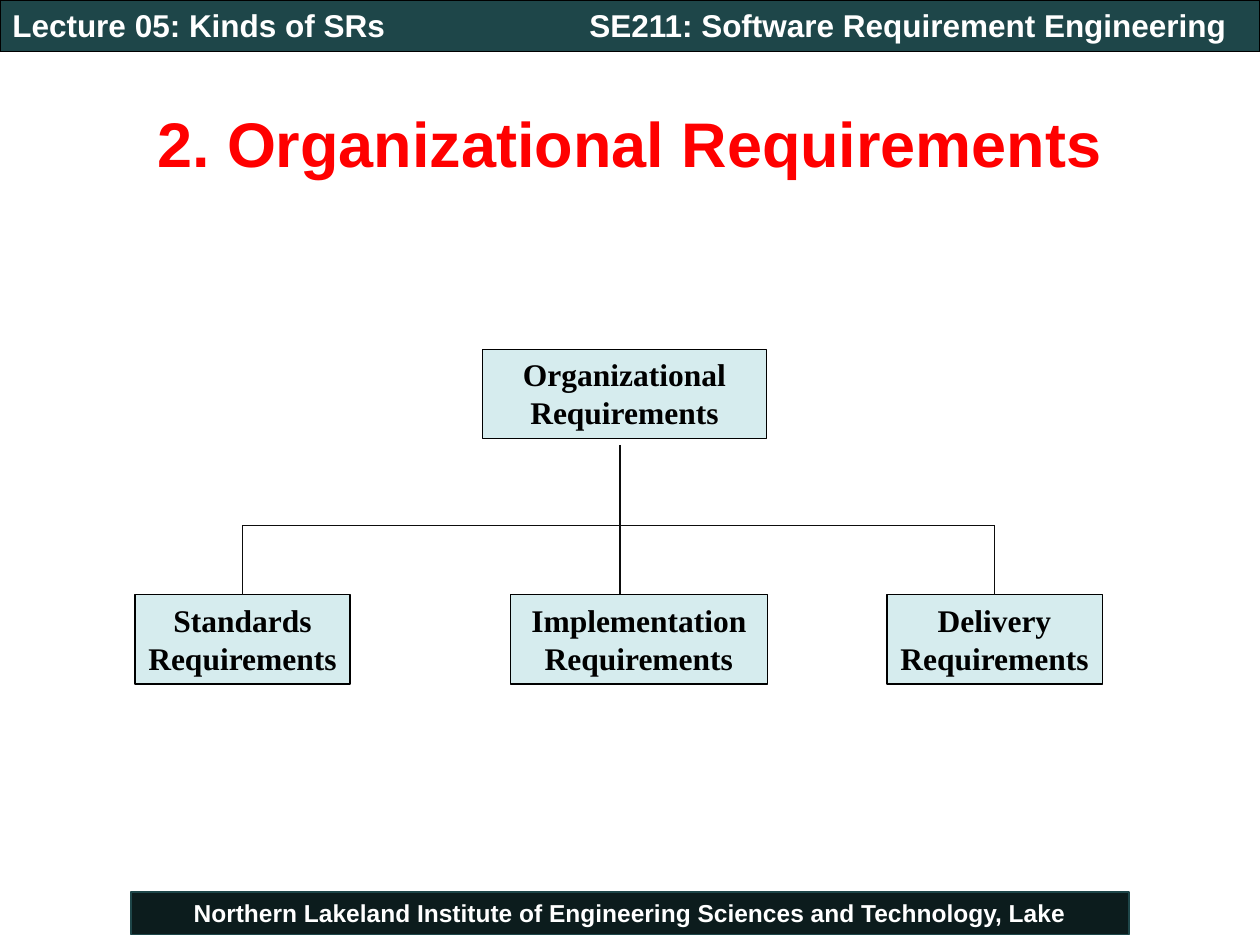
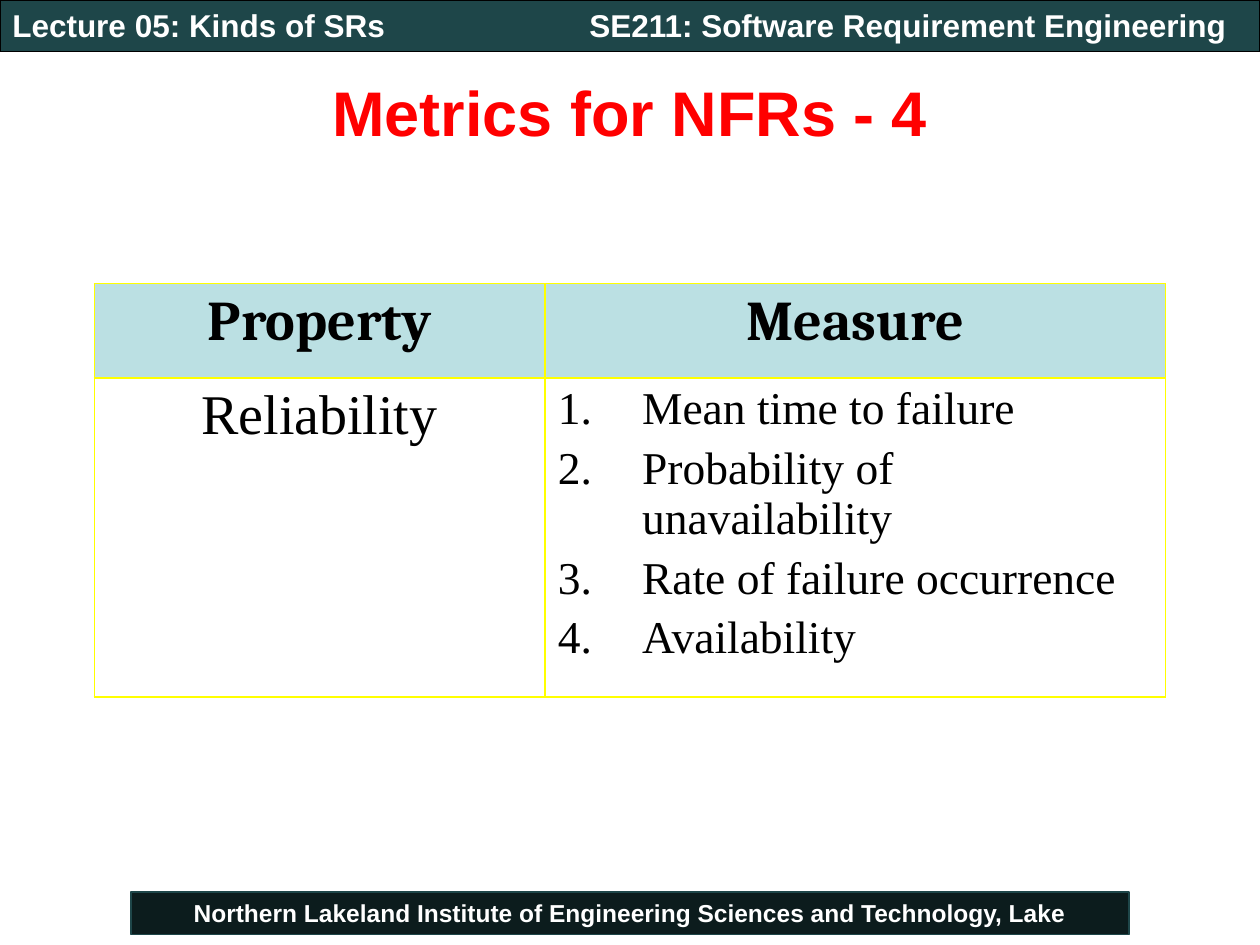
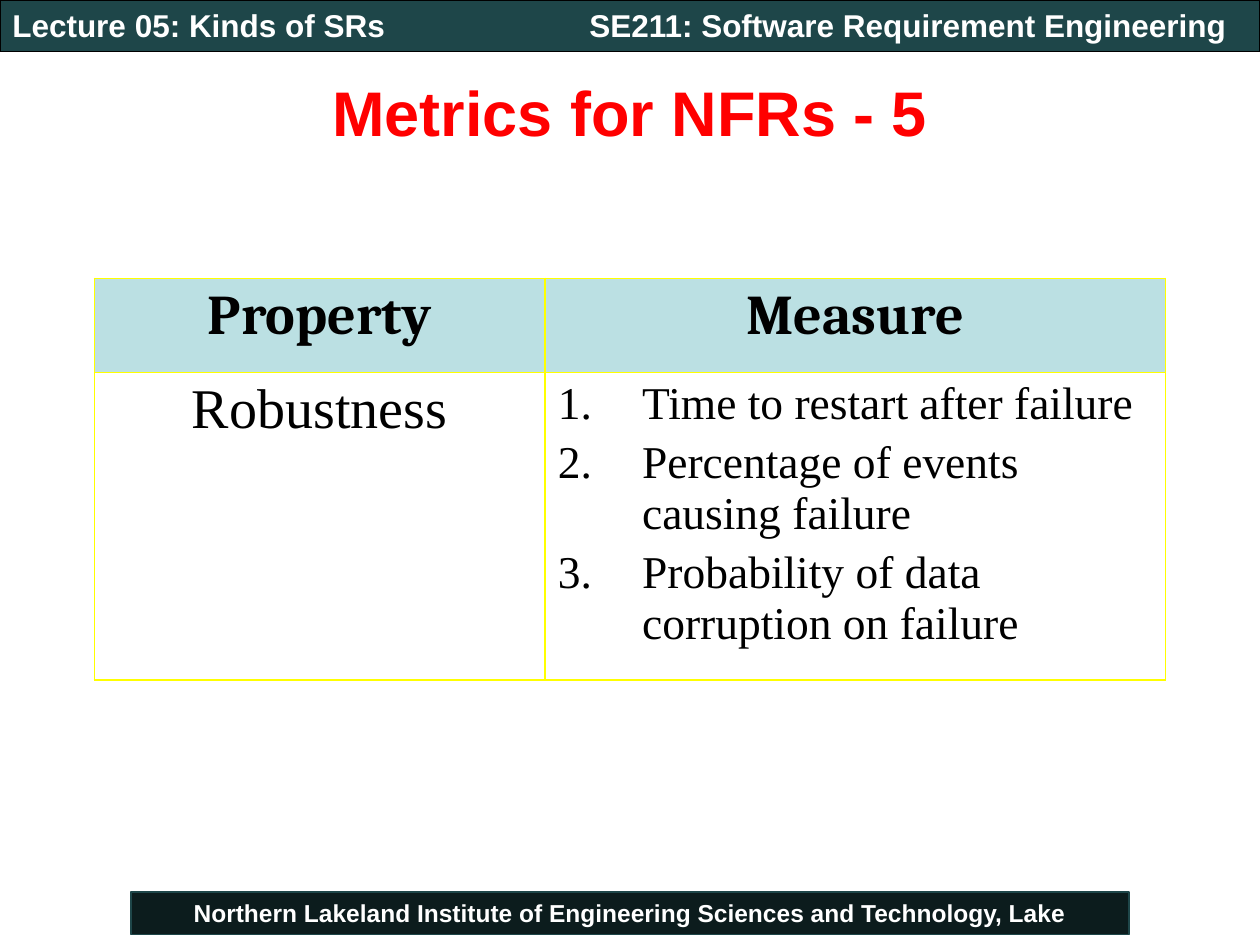
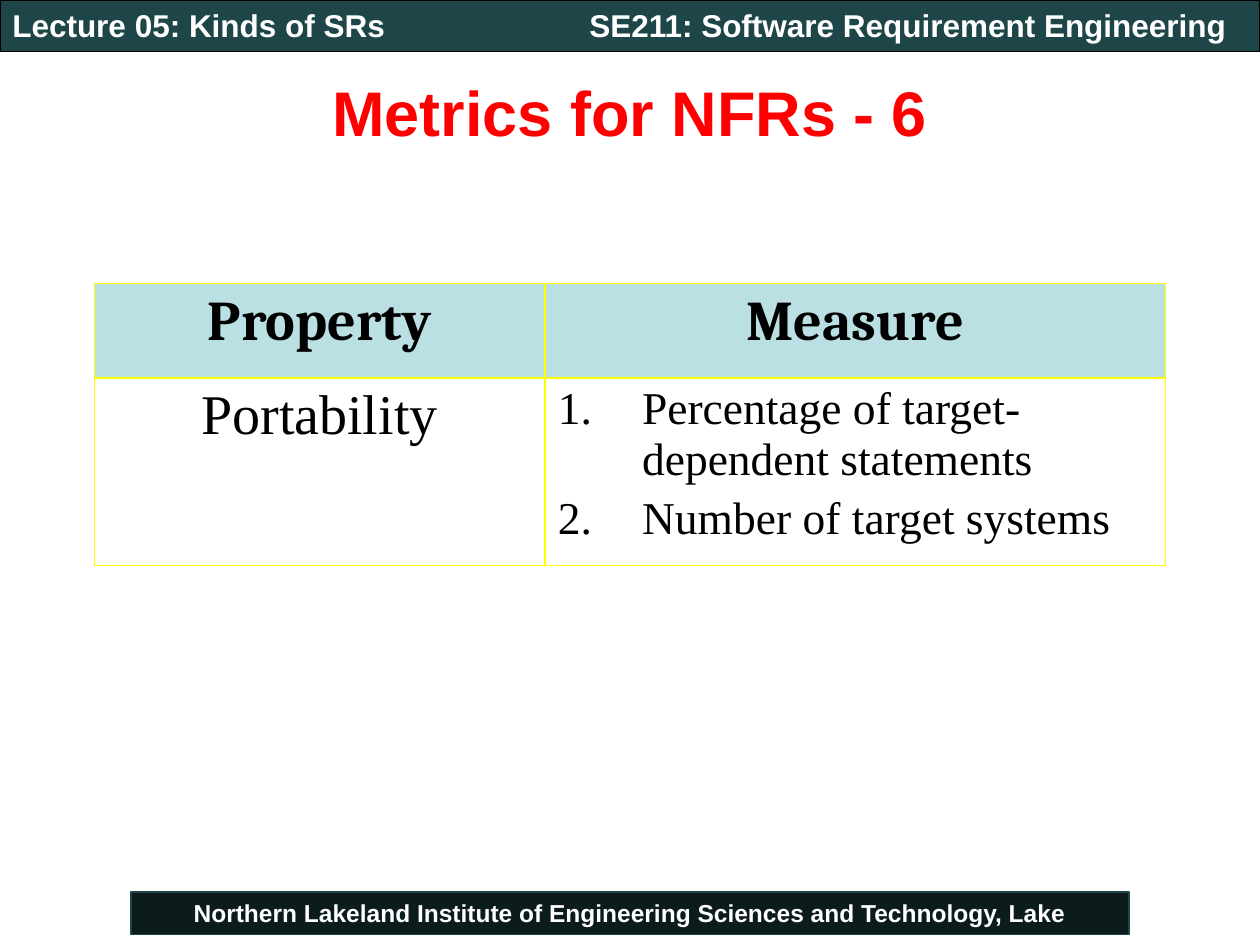
from lxml.etree import SubElement
from pptx import Presentation
from pptx.dml.color import RGBColor
from pptx.enum.shapes import MSO_CONNECTOR as Connector, MSO_SHAPE as Shape
from pptx.enum.text import MSO_ANCHOR as Anchor, PP_ALIGN as Align
from pptx.oxml.ns import qn
from pptx.util import Cm, Pt

COLORS = {
    "black": "000000",
    "white": "FFFFFF",
    "title": "FF0000",
    "header": "1E4649",
    "footer": "0C1C1D",
    "node": "D6ECEE",
    "branch": "0D0D0D",
    "table_head": "BBE0E3",
    "table_rule": "FFFF00",
}
SANS, SERIF, HEADING = "Arial", "Times New Roman", "Cambria"
LECTURE = "Lecture 05: Kinds of SRs"
COURSE = "SE211: Software Requirement Engineering"
INSTITUTE = "Northern Lakeland Institute of Engineering Sciences and Technology, Lake"

SLIDE_WIDTH, SLIDE_HEIGHT = 25.4, 19.05
TOP, BOTTOM = 0, 2  # connection sites of a rectangle
LIST_INDENT = 1.7

# Property, measures, top of the table and height of its body row (cm)
METRICS = [
    ("Metrics for NFRs - 4", "Reliability",
     ["Mean time to failure", "Probability of unavailability",
      "Rate of failure occurrence", "Availability"], 5.72, 6.43),
    ("Metrics for NFRs - 5", "Robustness",
     ["Time to restart after failure", "Percentage of events causing failure",
      "Probability of data corruption on failure"], 5.61, 6.2),
    ("Metrics for NFRs - 6", "Portability",
     ["Percentage of target-dependent statements",
      "Number of target systems"], 5.72, 3.78),
]


def color(name):
    return RGBColor.from_string(COLORS[name])


def number_paragraph(para):
    """Give a paragraph an automatic number and a hanging indent."""
    properties = para._p.get_or_add_pPr()
    properties.set("marL", str(Cm(LIST_INDENT)))
    properties.set("indent", str(-Cm(LIST_INDENT)))
    SubElement(properties, qn("a:buFont"), typeface="+mj-lt")
    SubElement(properties, qn("a:buAutoNum"), type="arabicPeriod")


def write_text(frame, text, size=18, font=SANS, ink="black", bold=True,
               align=Align.CENTER, gap=0, numbered=False):
    """Fill a text frame; each line of the text becomes a paragraph."""
    frame.word_wrap = True
    for index, line in enumerate(text.split("\n")):
        para = frame.add_paragraph() if index else frame.paragraphs[0]
        para.alignment = align
        if gap:
            para.space_before = Pt(gap)
        if numbered:
            number_paragraph(para)
        span = para.add_run()
        span.text = line
        span.font.size = Pt(size)
        span.font.name = font
        span.font.bold = bold
        span.font.color.rgb = color(ink)


def add_box(page, text, left, top, width, height, fill, line="black", **style):
    box = page.shapes.add_shape(Shape.RECTANGLE, Cm(left), Cm(top),
                                Cm(width), Cm(height))
    box.shadow.inherit = False
    box.fill.solid()
    box.fill.fore_color.rgb = color(fill)
    box.line.color.rgb = color(line)
    box.line.width = Pt(0.75)
    box.text_frame.vertical_anchor = Anchor.TOP
    write_text(box.text_frame, text, **style)
    return box


def add_label(page, text, left, top, width, height, anchor=Anchor.TOP, **style):
    label = page.shapes.add_textbox(Cm(left), Cm(top), Cm(width), Cm(height))
    label.text_frame.vertical_anchor = anchor
    write_text(label.text_frame, text, **style)
    return label


def add_branch(page, start_x, start_y, end_x, end_y):
    branch = page.shapes.add_connector(Connector.STRAIGHT, start_x, start_y,
                                       end_x, end_y)
    branch.line.color.rgb = color("branch")
    branch.line.width = Pt(0.75)
    SubElement(branch._element.spPr, qn("a:effectLst"))
    return branch


def add_page(deck, title, title_area=(0, 1.07, SLIDE_WIDTH, 2.34)):
    """Add a slide with the shared footer, header band and title."""
    page = deck.slides.add_slide(deck.slide_layouts[6])
    add_box(page, INSTITUTE, 2.64, 17.98, 20.12, 0.86, "footer",
            line="header", size=14, ink="white")
    add_box(page, LECTURE, 0, 0, SLIDE_WIDTH, 1.04, "header",
            ink="white", align=Align.LEFT)
    course = add_label(page, COURSE, 9.09, 0, 16.31, 1.02,
                       ink="white", align=Align.LEFT)
    course.text_frame.margin_left = Cm(2.79)
    add_label(page, title, *title_area, anchor=Anchor.MIDDLE,
              size=36, ink="title")
    return page


def add_node(page, text, left, top, width):
    node = add_box(page, text, left, top, width, 1.8, "node", font=SERIF)
    node.text_frame.margin_left = node.text_frame.margin_right = Cm(0.2)
    return node


def add_tree(page):
    """Draw the root, the branches and the three kinds below it."""
    child_top, bus_y, trunk_x = 11.99, Cm(10.59), Cm(12.5)
    add_branch(page, trunk_x, Cm(8.97), trunk_x, Cm(child_top))
    add_node(page, "Organizational\nRequirements", 9.73, 7.04, 5.72)
    add_node(page, "Implementation\nRequirements", 10.29, child_top, 5.18)

    middles = []
    for kind, left in (("Standards", 2.72), ("Delivery", 17.88)):
        node = add_node(page, f"{kind}\nRequirements", left, child_top, 4.34)
        middle = node.left + node.width // 2
        add_branch(page, middle, bus_y, middle, node.top).end_connect(node, TOP)
        middles.append(middle)
    add_branch(page, middles[0], bus_y, middles[1], bus_y)


def set_borders(cell):
    properties = cell._tc.get_or_add_tcPr()
    for position, side in enumerate(("lnL", "lnR", "lnT", "lnB")):
        border = properties.makeelement(qn(f"a:{side}"), {"w": str(Pt(1))})
        fill = SubElement(border, qn("a:solidFill"))
        SubElement(fill, qn("a:srgbClr"), val=COLORS["table_rule"])
        properties.insert(position, border)


def add_metrics_table(page, name, measures, top, body_height):
    widths, heights = (9.09, 12.5), (1.9, body_height)
    table = page.shapes.add_table(2, 2, Cm(1.9), Cm(top), Cm(sum(widths)),
                                  Cm(sum(heights))).table
    table.first_row = table.horz_banding = False
    for column, width in zip(table.columns, widths):
        column.width = Cm(width)
    for row, height in zip(table.rows, heights):
        row.height = Cm(height)

    # Heading row
    for index, heading in enumerate(("Property", "Measure")):
        cell = table.cell(0, index)
        cell.fill.solid()
        cell.fill.fore_color.rgb = color("table_head")
        write_text(cell.text_frame, heading, size=32, font=HEADING)

    # Body row
    body = {"font": SERIF, "bold": False}
    property_cell, measure_cell = table.cell(1, 0), table.cell(1, 1)
    write_text(property_cell.text_frame, name, size=32, **body)
    write_text(measure_cell.text_frame, "\n".join(measures), size=26,
               align=Align.LEFT, gap=5.2, numbered=True, **body)
    for cell in (property_cell, measure_cell):
        cell.fill.background()
    for cell in table.iter_cells():
        set_borders(cell)


def main():
    deck = Presentation()
    deck.slide_width, deck.slide_height = Cm(SLIDE_WIDTH), Cm(SLIDE_HEIGHT)

    add_tree(add_page(deck, "2. Organizational Requirements",
                      (1.52, 1.47, 22.35, 2.79)))
    for title, name, measures, top, body_height in METRICS:
        add_metrics_table(add_page(deck, title), name, measures, top, body_height)

    deck.save("out.pptx")


if __name__ == "__main__":
    main()
